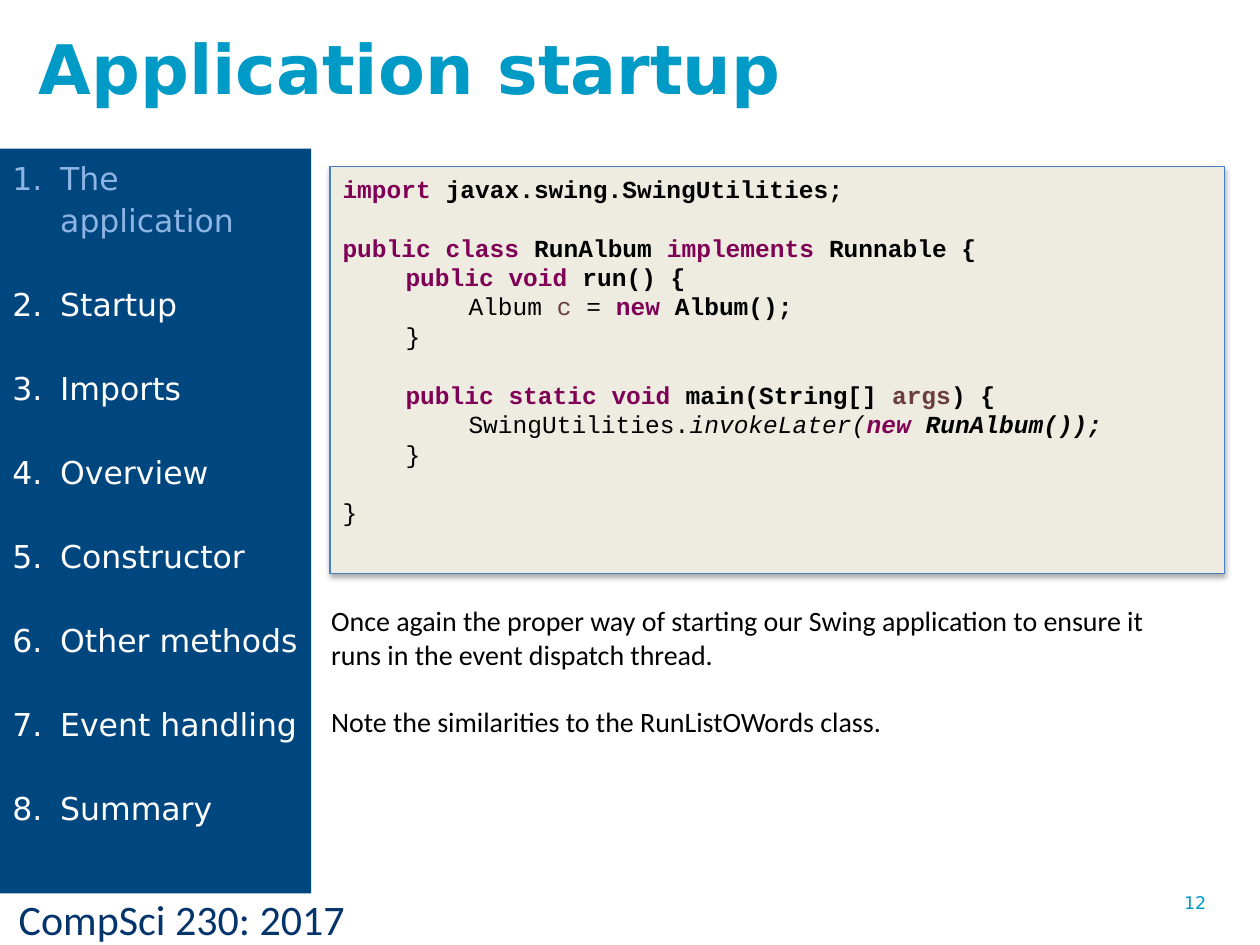
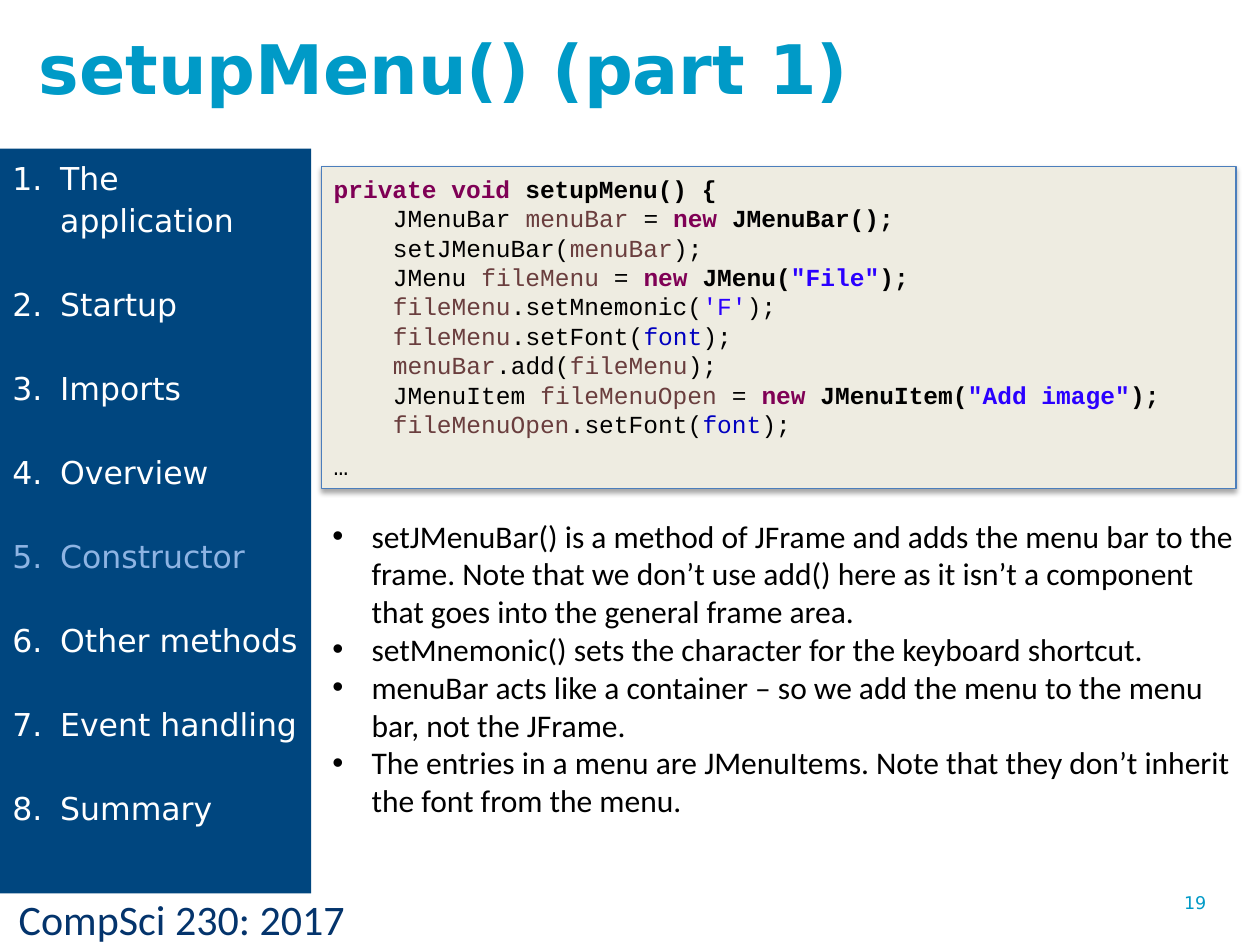
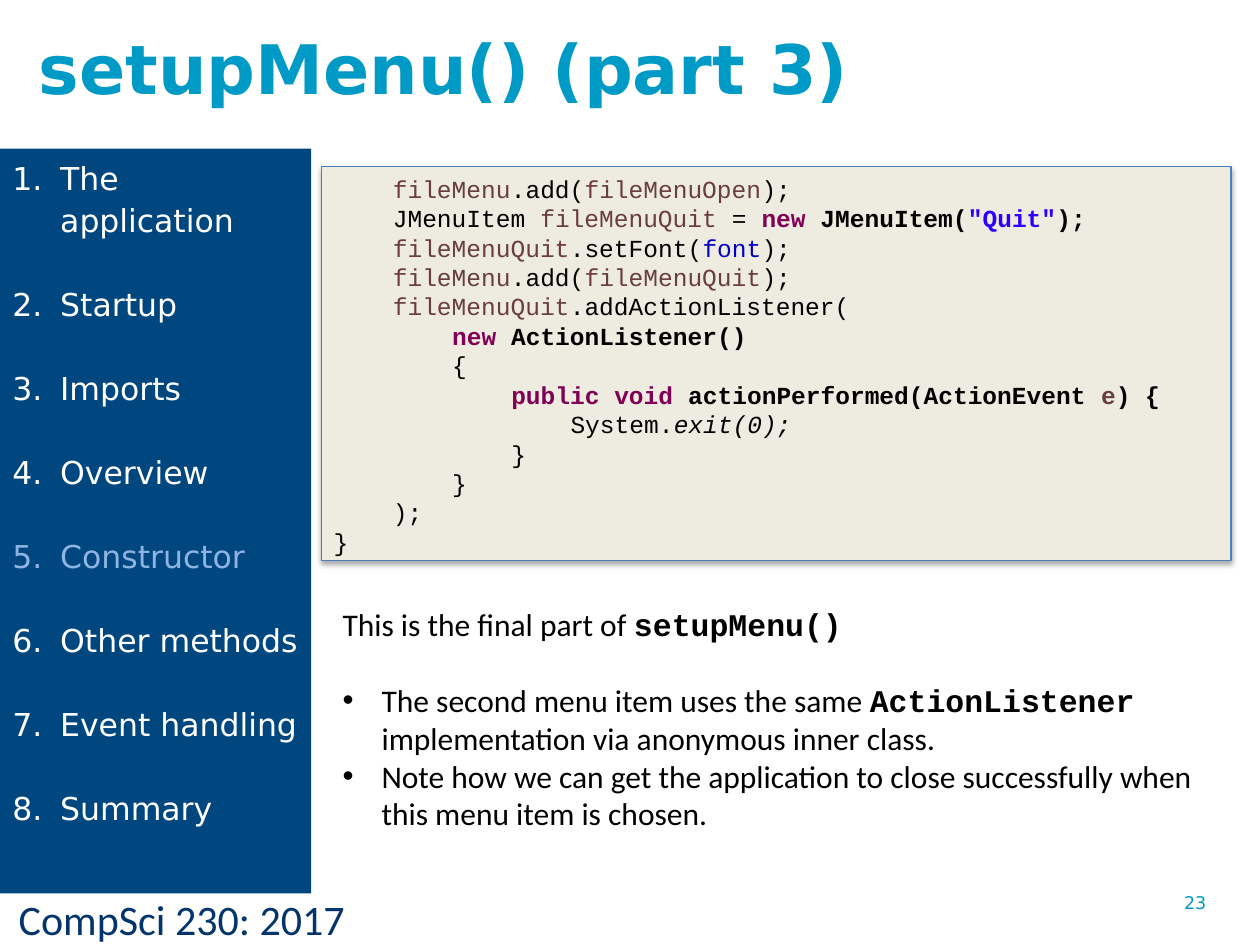
import dataclasses

import lxml.etree
import pptx
import pptx.dml.color
import pptx.enum.shapes
import pptx.enum.text
import pptx.oxml.ns
import pptx.util

Inches, Pt = pptx.util.Inches, pptx.util.Pt
Anchor = pptx.enum.text.MSO_ANCHOR

# Content: shared parts
COURSE = "CompSci 230: 2017"
SECTIONS = ["The application", "Startup", "Imports", "Overview", "Constructor",
            "Other methods", "Event handling", "Summary"]
GAP = None  # an empty line, drawn as space before the next one

# Content: code lines are (indent level, (style, text), ...)
STARTUP_CODE = [
    (0, ("keyword", "import "), ("strong", "javax.swing.SwingUtilities;")),
    GAP,
    (0, ("keyword", "public class "), ("strong", "RunAlbum "),
     ("keyword", "implements"), ("strong", " Runnable {")),
    (1, ("keyword", "public void"), ("strong", " run() {")),
    (2, ("plain", "Album "), ("variable", "c "), ("plain", "= "),
     ("keyword", "new "), ("strong", "Album();")),
    (1, ("plain", "}")),
    GAP,
    (1, ("keyword", "public static void"), ("strong", " main(String[] "),
     ("strong_variable", "args"), ("strong", ") {")),
    (2, ("plain", "SwingUtilities."), ("static", "invokeLater("),
     ("static_keyword", "new "), ("strong_static", "RunAlbum());")),
    (1, ("plain", "}")),
    GAP,
    (0, ("plain", "}")),
]
MENU_CODE = [
    (0, ("keyword", "private void "), ("strong", "setupMenu() {")),
    (1, ("plain", "JMenuBar "), ("variable", "menuBar"), ("plain", " = "),
     ("keyword", "new "), ("strong", "JMenuBar();")),
    (1, ("plain", "setJMenuBar("), ("variable", "menuBar"), ("plain", ");")),
    (1, ("plain", "JMenu "), ("variable", "fileMenu"), ("plain", " = "),
     ("keyword", "new "), ("strong", "JMenu("),
     ("strong_literal", '"File"'), ("strong", ");")),
    (1, ("variable", "fileMenu"), ("plain", ".setMnemonic("),
     ("literal", "'F'"), ("plain", ");")),
    (1, ("variable", "fileMenu"), ("plain", ".setFont("),
     ("field", "font"), ("plain", ");")),
    (1, ("variable", "menuBar"), ("plain", ".add("),
     ("variable", "fileMenu"), ("plain", ");")),
    (1, ("plain", "JMenuItem "), ("variable", "fileMenuOpen"), ("plain", " = "),
     ("keyword", "new "), ("strong", "JMenuItem("),
     ("strong_literal", '"Add image"'), ("strong", ");")),
    (1, ("variable", "fileMenuOpen"), ("plain", ".setFont("),
     ("field", "font"), ("plain", ");")),
    (0, ("plain", "…")),
]
QUIT_CODE = [
    (1, ("variable", "fileMenu"), ("plain", ".add("),
     ("variable", "fileMenuOpen"), ("plain", ");")),
    (1, ("plain", "JMenuItem "), ("variable", "fileMenuQuit"), ("plain", " = "),
     ("keyword", "new "), ("strong", "JMenuItem("),
     ("strong_literal", '"Quit"'), ("strong", ");")),
    (1, ("variable", "fileMenuQuit"), ("plain", ".setFont("),
     ("field", "font"), ("plain", ");")),
    (1, ("variable", "fileMenu"), ("plain", ".add("),
     ("variable", "fileMenuQuit"), ("plain", ");")),
    (1, ("variable", "fileMenuQuit"), ("plain", ".addActionListener(")),
    (2, ("keyword", "new "), ("strong", "ActionListener()")),
    (2, ("plain", "{")),
    (3, ("keyword", "public void "), ("strong", "actionPerformed(ActionEvent "),
     ("strong_variable", "e"), ("strong", ") {")),
    (4, ("plain", "System."), ("static", "exit(0);")),
    (3, ("plain", "}")),
    (2, ("plain", "}")),
    (1, ("plain", ");")),
    (0, ("plain", "}")),
]

# Content: notes are (bulleted, (style, text), ...); boxes are left, top, width, height
SLIDES = [
    dict(title="Application startup", number="12", section="The application",
         code=STARTUP_CODE, indent=0.5, panel=(2.62, 1.32, 7.1, 3.23),
         code_box=(2.62, 1.33, 7.45, 3.22),
         notes_box=(2.53, 4.74, 6.99, 1.18), notes_size=16, notes=[
             (False, ("note", "Once again the proper way of starting our Swing application "
                              "to ensure it runs in the event dispatch thread.")),
             GAP,
             (False, ("note", "Note the similarities to the RunListOWords class.")),
         ]),
    dict(title="setupMenu() (part 1)", number="19", section="Constructor",
         code=MENU_CODE, indent=0.47, panel=(2.55, 1.32, 7.26, 2.56),
         code_box=(2.55, 1.33, 7.56, 2.03),
         notes_box=(2.54, 4.05, 7.38, 2.52), notes_size=18, notes=[
             (True, ("note", "setJMenuBar() is a method of JFrame and adds the menu bar to "
                             "the frame. Note that we don’t use add() here as it isn’t a "
                             "component that goes into the general frame area.")),
             (True, ("note", "setMnemonic() sets the character for the keyboard shortcut.")),
             (True, ("note", "menuBar acts like a container – so we add the menu to the "
                             "menu bar, not the JFrame.")),
             (True, ("note", "The entries in a menu are JMenuItems. Note that they don’t "
                             "inherit the font from the menu.")),
         ]),
    dict(title="setupMenu() (part 3)", number="23", section="Constructor",
         code=QUIT_CODE, indent=0.47, panel=(2.55, 1.32, 7.22, 3.13),
         code_box=(2.55, 1.33, 7.3, 3.12),
         notes_box=(2.62, 4.75, 7.15, 2.52), notes_size=18, notes=[
             (False, ("note", "This is the final part of "), ("strong", "setupMenu()")),
             GAP,
             (True, ("note", "The second menu item uses the same "),
              ("strong", "ActionListener"),
              ("note", " implementation via anonymous inner class.")),
             (True, ("note", "Note how we can get the application to close successfully "
                             "when this menu item is chosen.")),
         ]),
]


@dataclasses.dataclass(frozen=True)
class Theme:
    heading_font: str = "DejaVu Sans"
    body_font: str = "Calibri"
    code_font: str = "Courier New"
    accent: str = "009AC7"
    navy: str = "00467F"
    course: str = "04346C"
    white: str = "FFFFFF"
    current: str = "8EB4E3"
    paper: str = "EEECE1"
    paper_edge: str = "4B7EBC"
    black: str = "000000"
    keyword: str = "7F0055"
    variable: str = "6A3E3E"
    literal: str = "2A00FF"
    field: str = "0000C0"
    title_size: int = 39
    course_size: int = 24
    section_size: int = 18
    code_size: int = 14
    number_size: int = 10
    section_pitch: int = 24
    code_pitch: float = 16.8


THEME = Theme()


def style(name, color, **extra):
    return dict(name=name, color=color, **extra)


def code_style(color, **extra):
    return style(THEME.code_font, color, **extra)


STYLES = {
    "title": style(THEME.heading_font, THEME.accent, bold=True),
    "number": style(THEME.heading_font, THEME.accent),
    "course": style(THEME.body_font, THEME.course),
    "section": style(THEME.heading_font, THEME.white),
    "current": style(THEME.heading_font, THEME.current),
    "note": style(THEME.body_font, THEME.black),
    "plain": code_style(THEME.black),
    "strong": code_style(THEME.black, bold=True),
    "static": code_style(THEME.black, italic=True),
    "strong_static": code_style(THEME.black, bold=True, italic=True),
    "keyword": code_style(THEME.keyword, bold=True),
    "static_keyword": code_style(THEME.keyword, bold=True, italic=True),
    "variable": code_style(THEME.variable),
    "strong_variable": code_style(THEME.variable, bold=True),
    "literal": code_style(THEME.literal),
    "strong_literal": code_style(THEME.literal, bold=True),
    "field": code_style(THEME.field),
}


# Helpers
def rgb(color):
    return pptx.dml.color.RGBColor.from_string(color)


def add_xml(parent, tag, **attributes):
    return lxml.etree.SubElement(parent, pptx.oxml.ns.qn(tag), attributes)


def add_rectangle(slide, box, fill):
    rectangle = slide.shapes.add_shape(
        pptx.enum.shapes.MSO_SHAPE.RECTANGLE, *map(Inches, box))
    rectangle.shadow.inherit = False
    rectangle.fill.solid()
    rectangle.fill.fore_color.rgb = rgb(fill)
    rectangle.line.fill.background()
    return rectangle


def add_text_frame(slide, box, anchor=Anchor.TOP):
    frame = slide.shapes.add_textbox(*map(Inches, box)).text_frame
    frame.word_wrap = True
    frame.vertical_anchor = anchor
    return frame


def next_paragraph(frame):
    first = frame.paragraphs[0]
    return frame.add_paragraph() if first.runs else first


def write(paragraph, size, *runs):
    paragraph.alignment = pptx.enum.text.PP_ALIGN.LEFT
    for style_name, text in runs:
        run = paragraph.add_run()
        run.text = text
        run.font.size = Pt(size)
        for key, value in STYLES[style_name].items():
            if key == "color":
                run.font.color.rgb = rgb(value)
            else:
                setattr(run.font, key, value)


def indent(paragraph, left, hanging=0):
    properties = paragraph._p.get_or_add_pPr()
    properties.set("marL", str(Inches(left)))
    properties.set("indent", str(-Inches(hanging)))
    return properties


def with_gaps(lines, pitch):
    """Yield each line with the space its preceding gaps take up."""
    space = 0
    for line in lines:
        if line is GAP:
            space += pitch
        else:
            yield space, line
            space = 0


# Parts of a slide
def add_label(slide, box, style_name, size, text, anchor=Anchor.TOP):
    frame = add_text_frame(slide, box, anchor)
    write(frame.paragraphs[0], size, (style_name, text))


def add_panel(slide, box):
    panel = add_rectangle(slide, box, THEME.paper)
    panel.line.color.rgb = rgb(THEME.paper_edge)
    panel.line.width = Pt(0.75)
    effects = panel._element.spPr.find(pptx.oxml.ns.qn("a:effectLst"))
    shadow = add_xml(effects, "a:outerShdw", blurRad=str(Pt(3.1)), dist=str(Pt(1.8)),
                     dir="5400000", rotWithShape="0")
    add_xml(add_xml(shadow, "a:srgbClr", val=THEME.black), "a:alpha", val="35000")


def add_code(slide, box, lines, step):
    frame = add_text_frame(slide, box)
    for space, (level, *runs) in with_gaps(lines, THEME.code_pitch):
        line = next_paragraph(frame)
        write(line, THEME.code_size, *runs)
        indent(line, level * step)
        line.space_before = Pt(space)
        ellipsis = runs[0][1] == "…"
        line.line_spacing = Pt(THEME.section_pitch if ellipsis else THEME.code_pitch)


def add_notes(slide, box, notes, size):
    frame = add_text_frame(slide, box)
    for space, (bulleted, *runs) in with_gaps(notes, size * 1.22):
        note = next_paragraph(frame)
        write(note, size, *runs)
        note.space_before = Pt(space)
        if bulleted:
            properties = indent(note, 0.31, 0.31)
            add_xml(properties, "a:buFont", typeface="Arial")
            add_xml(properties, "a:buChar", char="•")


def add_sections(slide, current):
    frame = add_rectangle(slide, (0, 1.18, 2.47, 5.91), THEME.navy).text_frame
    frame.word_wrap = True
    frame.vertical_anchor = Anchor.TOP
    for index, section in enumerate(SECTIONS):
        entry = next_paragraph(frame)
        write(entry, THEME.section_size,
              ("current" if section == current else "section", section))
        entry.line_spacing = Pt(THEME.section_pitch)
        entry.space_before = Pt(THEME.section_pitch if index else 0)
        add_xml(indent(entry, 0.38, 0.38), "a:buAutoNum", type="arabicPeriod")


def build_slide(deck, content):
    slide = deck.slides.add_slide(deck.slide_layouts[6])
    add_label(slide, (0.05, 7.04, 4.05, 0.5), "course", THEME.course_size, COURSE)
    add_panel(slide, content["panel"])
    add_label(slide, (9.3, 7.03, 0.7, 0.52), "number", THEME.number_size,
              content["number"])
    add_label(slide, (0.21, 0.14, 7.13, 0.78), "title", THEME.title_size,
              content["title"], Anchor.MIDDLE)
    add_code(slide, content["code_box"], content["code"], content["indent"])
    add_notes(slide, content["notes_box"], content["notes"], content["notes_size"])
    add_sections(slide, content["section"])


def main():
    deck = pptx.Presentation()
    deck.slide_width, deck.slide_height = Inches(10), Inches(7.5)
    for content in SLIDES:
        build_slide(deck, content)
    deck.save("out.pptx")


if __name__ == "__main__":
    main()
